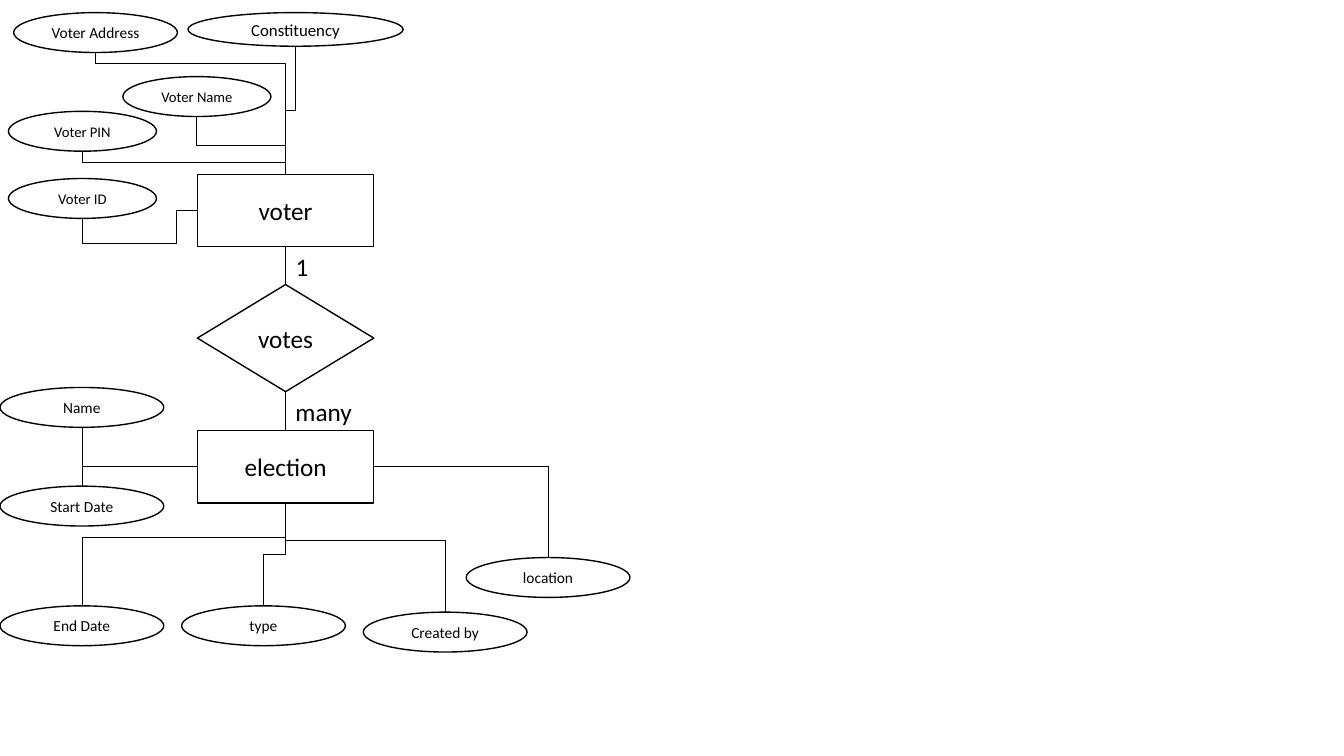
from lxml import etree
from pptx import Presentation
from pptx.dml.color import RGBColor
from pptx.enum.shapes import MSO_CONNECTOR, MSO_SHAPE
from pptx.enum.text import MSO_ANCHOR, MSO_AUTO_SIZE, PP_ALIGN
from pptx.oxml.ns import qn
from pptx.util import Pt

EMU_PER_PX = 9525
BLACK, WHITE = "000000", "FFFFFF"
FONT = "Calibri"

RECTANGLE = MSO_SHAPE.RECTANGLE
DIAMOND = MSO_SHAPE.FLOWCHART_DECISION
ELLIPSE = MSO_SHAPE.OVAL
STRAIGHT, ELBOW = MSO_CONNECTOR.STRAIGHT, MSO_CONNECTOR.ELBOW
CENTER, MIDDLE = PP_ALIGN.CENTER, MSO_ANCHOR.MIDDLE
GROW = MSO_AUTO_SIZE.SHAPE_TO_FIT_TEXT

# Main column: entities, relationship and the points where attributes attach
COLUMN_LEFT, COLUMN_WIDTH, ENTITY_HEIGHT = 188, 168, 69
COLUMN_RIGHT = COLUMN_LEFT + COLUMN_WIDTH
AXIS = COLUMN_LEFT + COLUMN_WIDTH // 2
VOTER_TOP, VOTES_TOP, VOTES_HEIGHT, ELECTION_TOP = 166, 271, 102, 410
VOTER_BOTTOM = VOTER_TOP + ENTITY_HEIGHT
VOTES_BOTTOM = VOTES_TOP + VOTES_HEIGHT
ELECTION_MIDDLE = ELECTION_TOP + ENTITY_HEIGHT // 2
VOTER_ABOVE = (AXIS, VOTER_TOP)
VOTER_SIDE = (COLUMN_LEFT, VOTER_TOP + ENTITY_HEIGHT // 2)
ELECTION_SIDE = (COLUMN_LEFT, ELECTION_MIDDLE)
ELECTION_FAR_SIDE = (COLUMN_RIGHT, ELECTION_MIDDLE)
ELECTION_BELOW = (AXIS, ELECTION_TOP + ENTITY_HEIGHT)

# label, left, top, width, height, text size, target, bends (y, then x)
ATTRIBUTES = [
    ("Voter Address", 13, 12, 156, 38, 11, VOTER_ABOVE, [60]),
    ("Constituency", 179, 12, 205, 32, 12, VOTER_ABOVE, [105]),
    ("Voter Name", 117, 73, 141, 38, 10.5, VOTER_ABOVE, [138]),
    ("Voter PIN", 8, 106, 141, 38, 10.5, VOTER_ABOVE, [155]),
    ("Voter ID", 8, 170, 141, 38, 10.5, VOTER_SIDE, [232, 168]),
    ("Name", 0, 369, 156, 38, 11, ELECTION_SIDE, []),
    ("Start Date", 0, 463, 156, 38, 11, ELECTION_SIDE, []),
    ("End Date", 0, 577, 156, 38, 11, ELECTION_BELOW, [512]),
    ("type", 173, 577, 156, 38, 11, ELECTION_BELOW, [528]),
    ("Created by", 346, 583, 156, 38, 11, ELECTION_BELOW, [515]),
    ("location", 444, 531, 156, 38, 11, ELECTION_FAR_SIDE, []),
]


def px(*lengths):
    return [round(length * EMU_PER_PX) for length in lengths]


def color(hex_string):
    return RGBColor.from_string(hex_string)


def add_text(shape, text, size):
    paragraph = shape.text_frame.paragraphs[0]
    run = paragraph.add_run()
    run.text = text
    run.font.name = FONT
    run.font.size = Pt(size)
    run.font.color.rgb = color(BLACK)
    return paragraph


def add_node(slide, kind, text, left, top, width, height, size=18):
    shape = slide.shapes.add_shape(kind, *px(left, top, width, height))
    shape.shadow.inherit = False
    shape.fill.solid()
    shape.fill.fore_color.rgb = color(WHITE)
    shape.line.color.rgb = color(BLACK)
    shape.line.width = Pt(1)
    shape.text_frame.word_wrap = True
    shape.text_frame.vertical_anchor = MIDDLE
    add_text(shape, text, size).alignment = CENTER


def add_label(slide, text, left, top, width, height):
    box = slide.shapes.add_textbox(*px(left, top, width, height))
    box.text_frame.word_wrap = False
    box.text_frame.auto_size = GROW
    add_text(box, text, 18)


def add_line(slide, kind, start, end):
    line = slide.shapes.add_connector(kind, *px(*start, *end))
    line.line.color.rgb = color(BLACK)
    line.line.width = Pt(0.5)
    etree.SubElement(line._element.spPr, qn("a:effectLst"))
    return line


def add_elbow(slide, start, end, bends):
    """Bent line that leaves its start vertically and turns at the bends."""
    line = add_line(slide, ELBOW, start, end)
    (x1, y1), (x2, y2) = start, end
    run, rise = abs(x2 - x1), abs(y2 - y1)

    # The preset runs horizontally, so it is turned about its centre
    line.left, line.top, line.width, line.height = px(
        (x1 + x2 - rise) / 2, (y1 + y2 - run) / 2, rise, run)
    turn = 270 if (x2 > x1) == (y2 > y1) else 90
    frame = line._element.spPr.find(qn("a:xfrm"))
    frame.set("rot", str(turn * 60000))
    frame.set("flipH", str(int(x2 > x1)))
    frame.set("flipV", str(int(y2 < y1)))

    # Bends become shares of the way from start to end
    geometry = line._element.spPr.find(qn("a:prstGeom"))
    geometry.set("prst", f"bentConnector{len(bends) + 2}")
    guides = geometry.find(qn("a:avLst"))
    if guides is None:
        guides = etree.SubElement(geometry, qn("a:avLst"))
    spans = [(y1, y2), (x1, x2)]
    for number, (bend, (first, last)) in enumerate(zip(bends, spans), 1):
        share = round((bend - first) / (last - first) * 100000)
        etree.SubElement(guides, qn("a:gd"), name=f"adj{number}", fmla=f"val {share}")


def add_attribute(slide, label, left, top, width, height, size, target, bends):
    add_node(slide, ELLIPSE, label, left, top, width, height, size)
    edge = top + height if top + height < target[1] or len(bends) == 2 else top
    add_elbow(slide, (left + width // 2, edge), target, bends)


def main():
    presentation = Presentation()
    presentation.slide_width, presentation.slide_height = px(1280, 720)
    slide = presentation.slides.add_slide(presentation.slide_layouts[6])

    # Entities and their relationship
    for kind, text, top, height in [
        (RECTANGLE, "voter", VOTER_TOP, ENTITY_HEIGHT),
        (DIAMOND, "votes", VOTES_TOP, VOTES_HEIGHT),
        (RECTANGLE, "election", ELECTION_TOP, ENTITY_HEIGHT),
    ]:
        add_node(slide, kind, text, COLUMN_LEFT, top, COLUMN_WIDTH, height)

    # Cardinalities
    for text, top, bottom, width in [
        ("1", VOTER_BOTTOM, VOTES_TOP, 32),
        ("many", VOTES_BOTTOM, ELECTION_TOP, 74),
    ]:
        add_line(slide, STRAIGHT, (AXIS, top), (AXIS, bottom))
        add_label(slide, text, AXIS, top, width, 38)

    # Attributes
    for attribute in ATTRIBUTES:
        add_attribute(slide, *attribute)

    presentation.save("out.pptx")


if __name__ == "__main__":
    main()
